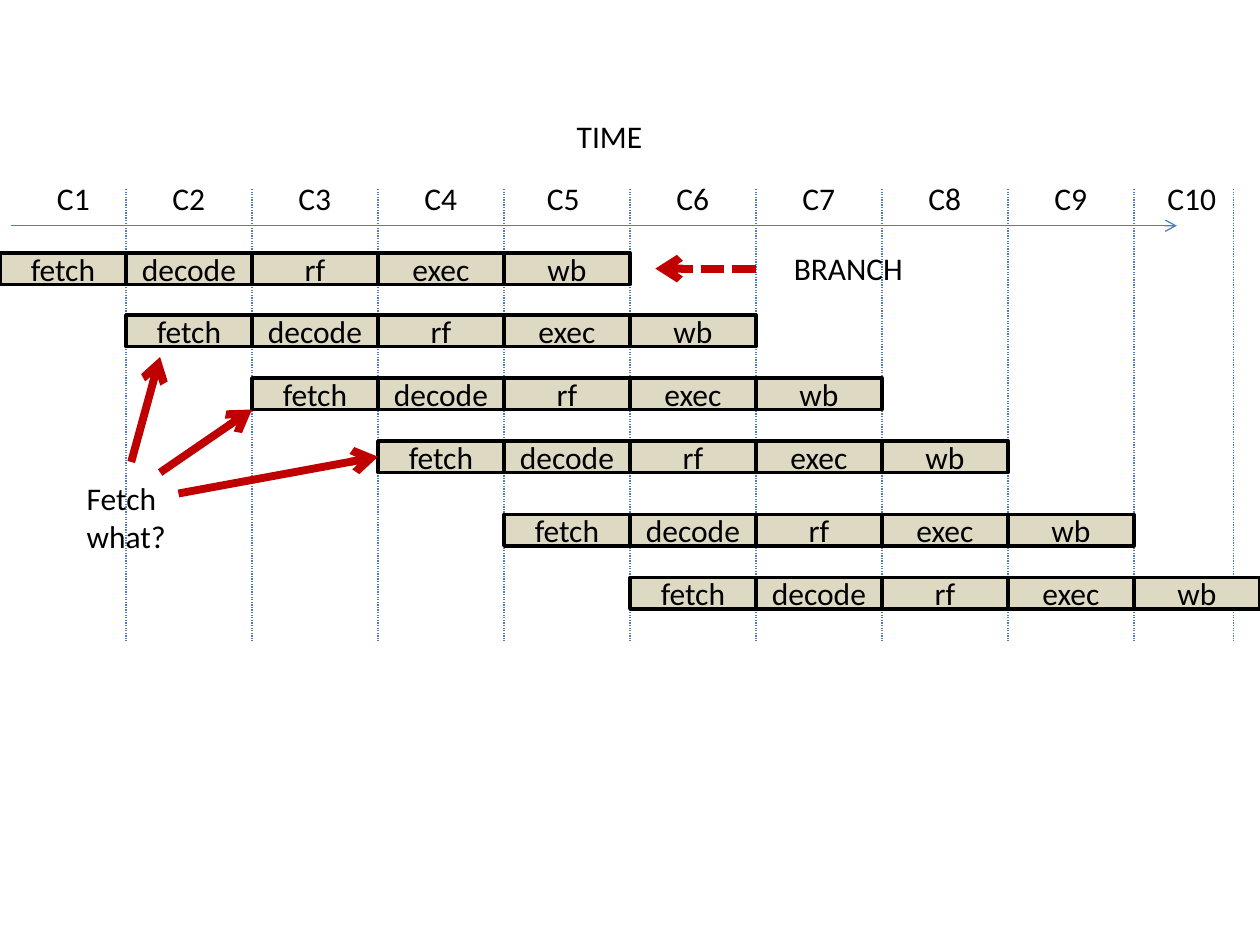
from lxml import etree
from pptx import Presentation
from pptx import util as u
from pptx.dml import color
from pptx.enum import dml, shapes, text
from pptx.oxml import ns

DOT, DASH = dml.MSO_LINE.ROUND_DOT, dml.MSO_LINE.SQUARE_DOT
STEP = 72  # width of one clock cycle


def tint(code):
    return color.RGBColor.from_string(code)


class Sheet:
    font, size = "Calibri", 18
    ink, sand, blue, red = "000000", "DDD9C3", "4B7EBC", "C00000"

    def __init__(self, slide):
        self.slide = slide

    def letter(self, frame, words, align):
        """Put styled words into a text frame."""
        par = frame.paragraphs[0]
        par.text = words
        par.alignment = align
        par.font.name, par.font.size = self.font, u.Pt(self.size)
        par.font.color.rgb = tint(self.ink)

    def label(self, words, x, y, w, h=29):
        box = self.slide.shapes.add_textbox(u.Pt(x), u.Pt(y), u.Pt(w), u.Pt(h))
        frame = box.text_frame
        frame.word_wrap = False
        frame.auto_size = text.MSO_AUTO_SIZE.SHAPE_TO_FIT_TEXT
        self.letter(frame, words, text.PP_ALIGN.LEFT)

    def stage(self, words, x, y):
        box = self.slide.shapes.add_shape(
            shapes.MSO_SHAPE.RECTANGLE, u.Pt(x), u.Pt(y), u.Pt(STEP), u.Pt(18))
        box.shadow.inherit = False
        box.fill.solid()
        box.fill.fore_color.rgb = tint(self.sand)
        box.line.color.rgb = tint(self.ink)
        box.line.width = u.Pt(2)
        frame = box.text_frame
        frame.vertical_anchor = text.MSO_ANCHOR.MIDDLE
        self.letter(frame, words, text.PP_ALIGN.CENTER)

    def line(self, start, end, hue, width, dash=None, arrow=False):
        link = self.slide.shapes.add_connector(
            shapes.MSO_CONNECTOR.STRAIGHT, *map(u.Pt, start + end))
        link.line.color.rgb = tint(hue)
        link.line.width = u.Pt(width)
        if dash:
            link.line.dash_style = dash
        props = link.element.spPr
        if arrow:
            etree.SubElement(props.find(ns.qn("a:ln")),
                             ns.qn("a:tailEnd"), type="arrow")
        etree.SubElement(props, ns.qn("a:effectLst"))


def main():
    deck = Presentation()
    deck.slide_width, deck.slide_height = u.Pt(720), u.Pt(540)
    sheet = Sheet(deck.slides.add_slide(deck.slide_layouts[6]))

    # Time axis and cycle borders
    sheet.line((6.5, 129), (672.5, 129), sheet.blue, 0.75, arrow=True)
    sheet.label("TIME", 322.5, 63.5, 52.5)
    for x in [STEP * n for n in range(1, 10)] + [705]:
        sheet.line((x, 108), (x, 366), sheet.blue, 0.75, DOT)

    # Each instruction starts one cycle after the one above
    for row, y in enumerate((144.5, 180, 216, 252, 294, 330)):
        for col, name in enumerate(("fetch", "decode", "rf", "exec", "wb")):
            sheet.stage(name, STEP * (row + col), y)

    nudge = {1: 6, 5: -2}
    for n in range(1, 10):
        sheet.label(f"C{n}", STEP * (n - 1) + 19.5 + nudge.get(n, 0), 99, 33)
    sheet.label("C10", 660, 99, 42.5)

    # Branch and the fetches that depend on it
    sheet.label("BRANCH", 446.5, 139, 78)
    sheet.line((432, 153.5), (374.5, 153.5), sheet.red, 4.5, DASH, True)
    sheet.label("Fetch \nwhat?", 42.5, 270, 60.5, 51)
    for start, end in (((75, 264), (91.5, 204)),
                       ((91.5, 270), (144, 234)),
                       ((102, 282), (216, 261))):
        sheet.line(start, end, sheet.red, 4.5, arrow=True)

    deck.save("out.pptx")


if __name__ == "__main__":
    main()
